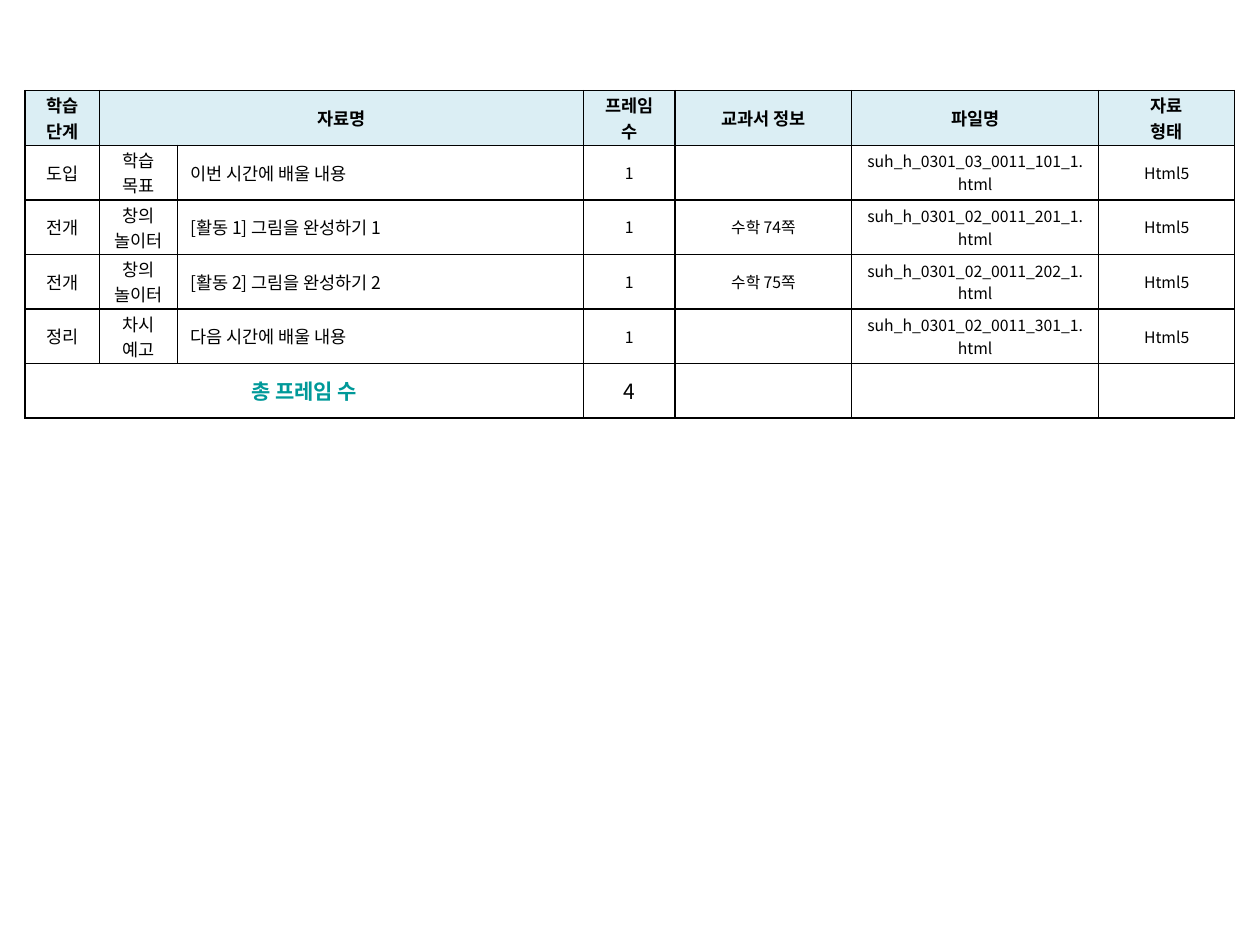
from dataclasses import dataclass

from lxml import etree
from pptx import Presentation
from pptx import util as u
from pptx.dml.color import RGBColor
from pptx.enum import text as t
from pptx.oxml.ns import qn


@dataclass(frozen=True)
class Theme:
    font: str = "Noto Sans CJK KR"
    ink: str = "000000"
    accent: str = "009999"
    header_fill: str = "DBEEF4"
    small: int = 9
    body: int = 10
    total: int = 12
    border: float = 1


@dataclass(frozen=True)
class Lesson:
    stage: str
    section: str
    title: str
    textbook: str
    file: str


THEME = Theme()
SLIDE_WIDTH, SLIDE_HEIGHT = 10, 7.5
LEFT, TOP = 0.02 * SLIDE_WIDTH, 0.096 * SLIDE_HEIGHT
COLUMNS = (0.59, 0.62, 3.22, 0.73, 1.4, 1.96, 1.08)
ROW_HEIGHT = 2.6 / 6
HEADERS = ("학습 단계", "자료명", "", "프레임 수", "교과서 정보", "파일명", "자료\n형태")
LESSONS = (
    Lesson("도입", "학습 목표", "이번 시간에 배울 내용", "", "suh_h_0301_03_0011_101_1.html"),
    Lesson("전개", "창의\n놀이터", "[활동 1] 그림을 완성하기 1", "수학 74쪽",
           "suh_h_0301_02_0011_201_1.html"),
    Lesson("전개", "창의\n놀이터", "[활동 2] 그림을 완성하기 2", "수학 75쪽",
           "suh_h_0301_02_0011_202_1.html"),
    Lesson("정리", "차시 예고", "다음 시간에 배울 내용", "", "suh_h_0301_02_0011_301_1.html"),
)


def draw_borders(cell) -> None:
    properties = cell._tc.get_or_add_tcPr()
    for side in ("a:lnL", "a:lnR", "a:lnT", "a:lnB"):
        line = etree.SubElement(properties, qn(side), w=str(u.Pt(THEME.border)))
        fill = etree.SubElement(line, qn("a:solidFill"))
        etree.SubElement(fill, qn("a:srgbClr"), val=THEME.ink)


def write(cell, content: str, *, size: int = THEME.body, color: str = THEME.ink,
          bold: bool = False, align=t.PP_ALIGN.CENTER) -> None:
    cell.text = content
    for para in cell.text_frame.paragraphs:
        para.alignment = align
        for span in para.runs:
            span.font.name = THEME.font
            span.font.size = u.Pt(size)
            span.font.bold = bold
            span.font.color.rgb = RGBColor.from_string(color)
            east_asian = etree.SubElement(span._r.get_or_add_rPr(), qn("a:ea"))
            east_asian.set("typeface", THEME.font)
        if not para.runs:
            # An empty cell would otherwise take the default size and stretch its row.
            etree.SubElement(para._p, qn("a:endParaRPr"), sz=str(size * 100))


def format_cell(cell, fill: str | None) -> None:
    cell.vertical_anchor = t.MSO_ANCHOR.MIDDLE
    cell.margin_left = cell.margin_right = u.Inches(0.1)
    cell.margin_top = cell.margin_bottom = u.Inches(0.01)
    draw_borders(cell)
    if fill:
        cell.fill.solid()
        cell.fill.fore_color.rgb = RGBColor.from_string(fill)
    else:
        cell.fill.background()


def write_lesson(cells: list, lesson: Lesson) -> None:
    for cell, content in zip(cells, (lesson.stage, lesson.section)):
        write(cell, content)
    write(cells[2], lesson.title, align=t.PP_ALIGN.LEFT)
    for cell, content in zip(cells[3:], ("1", lesson.textbook, lesson.file, "Html5")):
        write(cell, content, size=THEME.small)


def main() -> None:
    deck = Presentation()
    deck.slide_width, deck.slide_height = u.Inches(SLIDE_WIDTH), u.Inches(SLIDE_HEIGHT)
    page = deck.slides.add_slide(deck.slide_layouts[6])
    row_count = len(LESSONS) + 2
    table = page.shapes.add_table(
        row_count, len(COLUMNS), u.Inches(LEFT), u.Inches(TOP),
        u.Inches(sum(COLUMNS)), u.Inches(ROW_HEIGHT * row_count)).table
    table.first_row = table.horz_banding = False
    for column, width in zip(table.columns, COLUMNS):
        column.width = u.Inches(width)

    grid = [list(row.cells) for row in table.rows]
    for index, cells in enumerate(grid):
        table.rows[index].height = u.Inches(ROW_HEIGHT)
        for cell in cells:
            format_cell(cell, THEME.header_fill if index == 0 else None)

    header, *lesson_rows, total = grid
    for cell, heading in zip(header, HEADERS):
        write(cell, heading, bold=True)
    for cells, lesson in zip(lesson_rows, LESSONS):
        write_lesson(cells, lesson)
    for cell in total[1:]:
        write(cell, "")
    write(total[0], "총 프레임 수", size=THEME.total, color=THEME.accent, bold=True)
    write(total[3], str(len(LESSONS)), size=THEME.total)
    header[1].merge(header[2])
    total[0].merge(total[2])
    deck.save("out.pptx")


if __name__ == "__main__":
    main()
